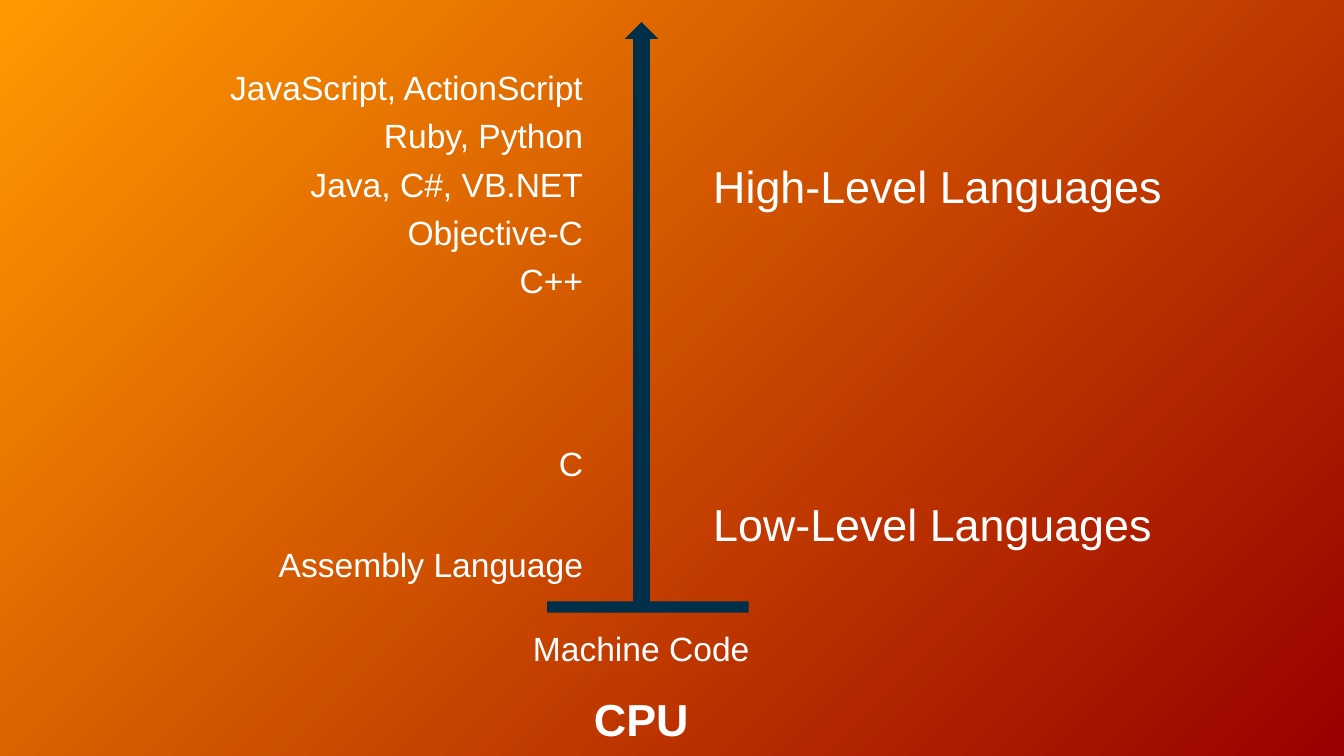
import pptx
import pptx.dml.color
import pptx.enum.shapes
import pptx.enum.text
import pptx.util
from pptx.util import Cm

ORANGE = pptx.dml.color.RGBColor(0xFF, 0x99, 0x00)
DARK_RED = pptx.dml.color.RGBColor(0x99, 0x00, 0x00)
NAVY = pptx.dml.color.RGBColor(0x00, 0x2F, 0x4A)
WHITE = pptx.dml.color.RGBColor(0xFF, 0xFF, 0xFF)

SHAPE = pptx.enum.shapes.MSO_SHAPE
ALIGN = pptx.enum.text.PP_ALIGN

# Left edge and width of each text column
EXAMPLES = (Cm(1.24), Cm(10.03))
LEVELS = (Cm(13.23), Cm(11.1))
MACHINE = (Cm(8.59), Cm(7.06))


def set_background(slide):
    fill = slide.background.fill
    fill.gradient()
    fill.gradient_angle = 315
    for stop, color in zip(fill.gradient_stops, (ORANGE, DARK_RED)):
        stop.color.rgb = color
    fill.gradient_stops[0].position = 0
    fill.gradient_stops[1].position = 1


def add_solid(slide, kind, left, top, width, height):
    shape = slide.shapes.add_shape(kind, left, top, width, height)
    shape.shadow.inherit = False
    shape.fill.solid()
    shape.fill.fore_color.rgb = NAVY
    shape.line.fill.background()


def add_label(slide, lines, column, top, height, size, alignment,
              spacing=1.0, bold=False):
    left, width = column
    box = slide.shapes.add_textbox(left, top, width, height)
    frame = box.text_frame
    frame.word_wrap = True
    frame.auto_size = pptx.enum.text.MSO_AUTO_SIZE.SHAPE_TO_FIT_TEXT
    for index, line in enumerate(lines):
        paragraph = frame.add_paragraph() if index else frame.paragraphs[0]
        paragraph.alignment = alignment
        paragraph.line_spacing = spacing
        run = paragraph.add_run()
        run.text = line
        run.font.name = "Arial"
        run.font.size = pptx.util.Pt(size)
        run.font.bold = bold
        run.font.color.rgb = WHITE


def main():
    presentation = pptx.Presentation()
    presentation.slide_width = Cm(25.4)
    presentation.slide_height = Cm(14.29)
    slide = presentation.slides.add_slide(presentation.slide_layouts[6])
    set_background(slide)

    # Axis: base bar and upward arrow
    add_solid(slide, SHAPE.RECTANGLE, Cm(10.34), Cm(11.37), Cm(3.81), Cm(0.21))
    add_solid(slide, SHAPE.UP_ARROW, Cm(11.81), Cm(0.42), Cm(0.63), Cm(11.1))

    # Machine level below the axis
    add_label(slide, ["CPU"], MACHINE, Cm(13.06), Cm(1.17), 24,
              ALIGN.CENTER, spacing=0.9, bold=True)
    add_label(slide, ["Machine Code"], MACHINE, Cm(11.84), Cm(0.94), 18,
              ALIGN.CENTER, spacing=0.9)

    # Language levels on the right
    for level, top in (("Low-Level Languages", Cm(9.27)),
                       ("High-Level Languages", Cm(2.87))):
        add_label(slide, [level], LEVELS, top, Cm(1.27), 24, ALIGN.LEFT)

    # Example languages on the left
    for language, top in (("Assembly Language", Cm(10.16)), ("C", Cm(8.24))):
        add_label(slide, [language], EXAMPLES, top, Cm(1.02), 18, ALIGN.RIGHT)
    high_level = ["JavaScript, ActionScript", "Ruby, Python",
                  "Java, C#, VB.NET", "Objective-C", "C++"]
    add_label(slide, high_level, EXAMPLES, Cm(0.99), Cm(4.88), 18,
              ALIGN.RIGHT, spacing=1.2)

    presentation.save("out.pptx")


if __name__ == "__main__":
    main()
